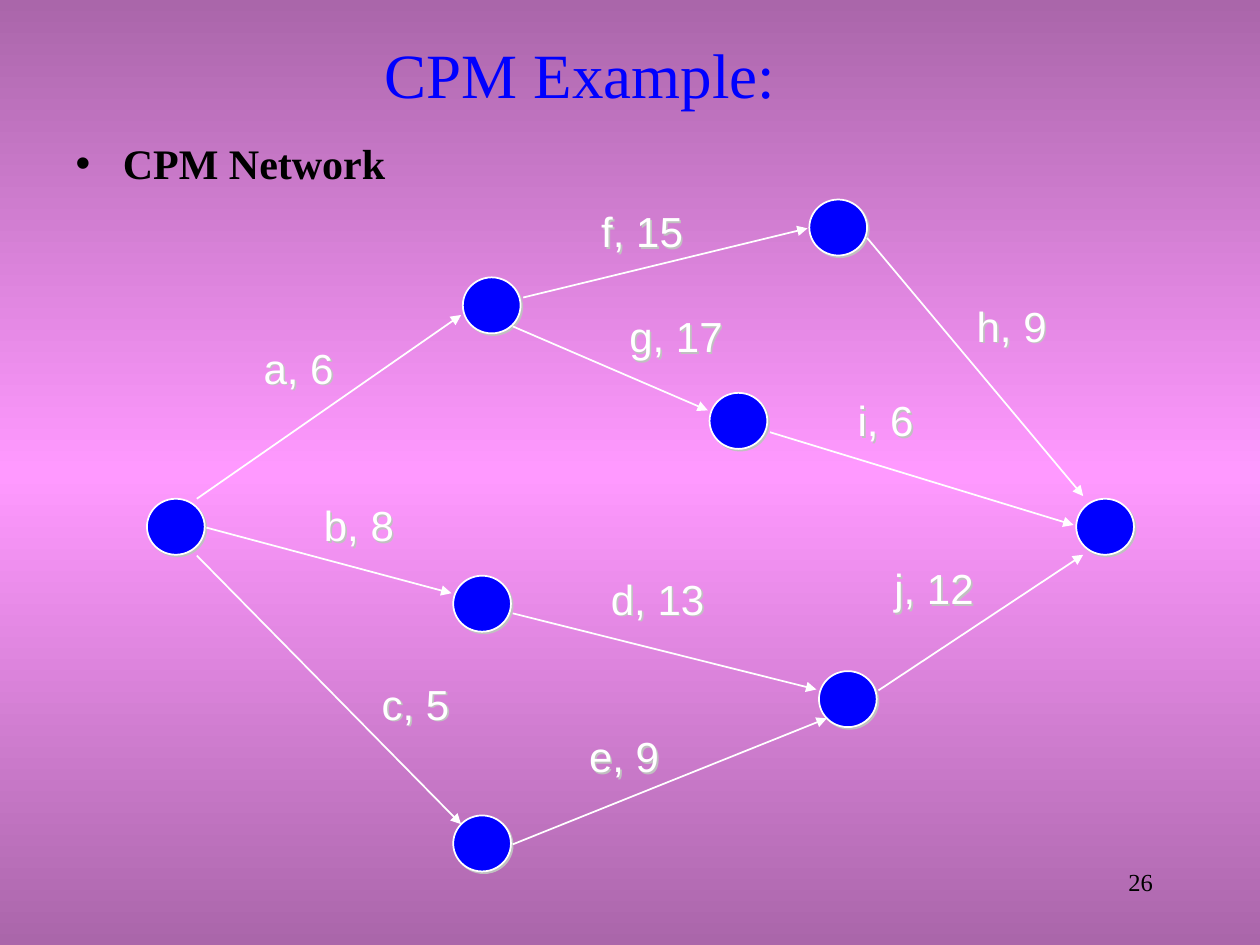
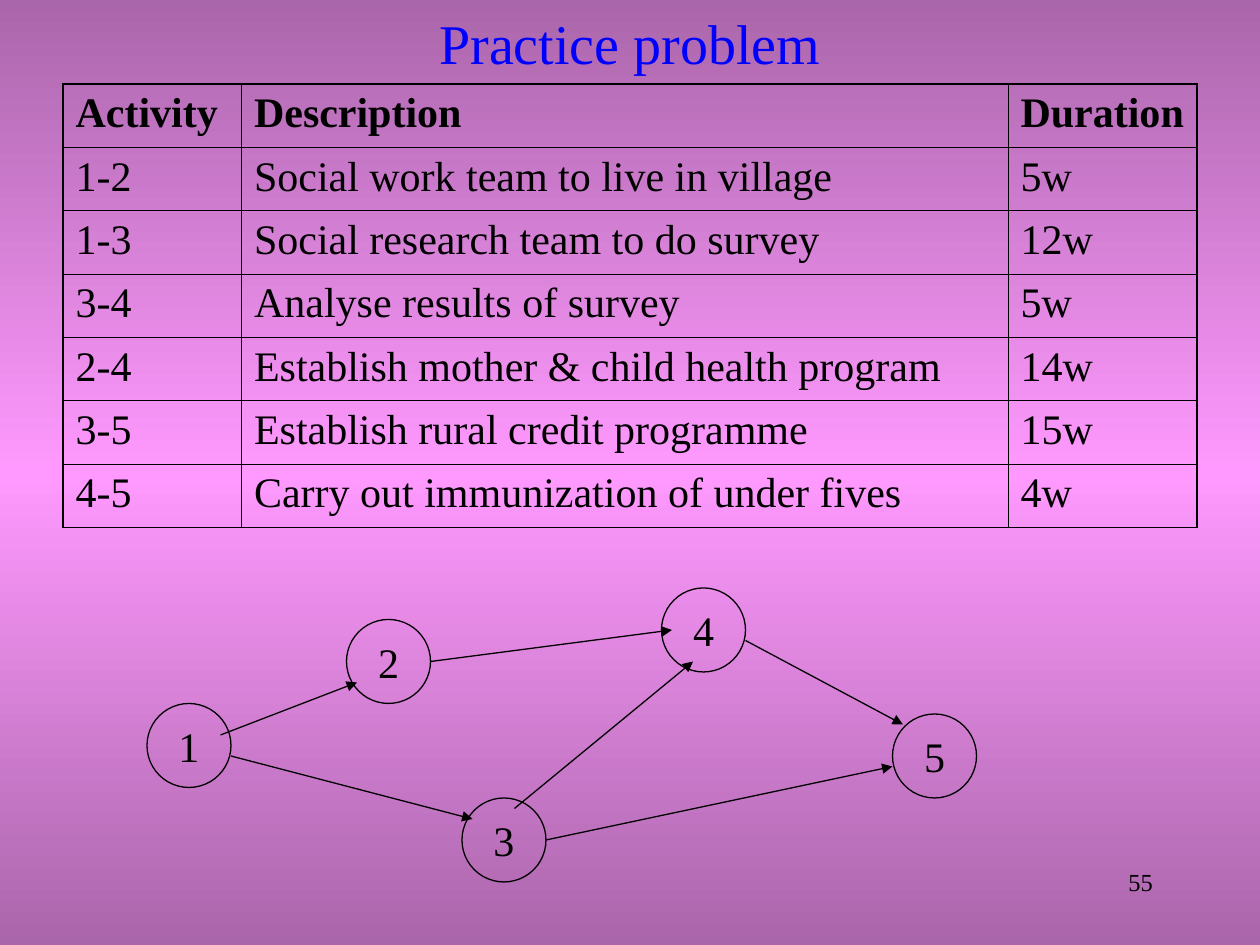
from copy import deepcopy
from typing import NamedTuple

from lxml.etree import SubElement
from pptx import Presentation
from pptx.dml.color import RGBColor
from pptx.enum.shapes import MSO_CONNECTOR as Conn, MSO_SHAPE as Kind
from pptx.enum.text import MSO_ANCHOR as Anchor, MSO_AUTO_SIZE as Fit, PP_ALIGN as Align
from pptx.oxml.ns import qn
from pptx.util import Pt

HUES = {
    "edge": "AA66AA",
    "glow": "FF99FF",
    "title": "0000FF",
    "node": "0000FF",
    "ink": "000000",
    "light": "FFFFFF",
    "shade": "C0C0C0",
}
SERIF, SANS = "Times New Roman", "Arial"
THICK, THIN = 1.08, 0.45


class Box(NamedTuple):
    x: float
    y: float
    w: float
    h: float


class Node(NamedTuple):
    x: float
    y: float
    text: str = ""


class Arrow(NamedTuple):
    x1: float
    y1: float
    x2: float
    y2: float


class Label(NamedTuple):
    text: str
    x: float
    y: float
    w: float


class Look(NamedTuple):
    """How the nodes and arrows of one network are drawn."""
    w: float
    h: float
    fill: str | None
    line: str
    weight: float
    shade: bool


BOLD = Look(33, 32, "node", "light", 1, True)
PLAIN = Look(48, 48, None, "ink", 0.75, False)

CPM_NODES = [
    Node(84, 285), Node(615, 285), Node(264.5, 158.5), Node(405.5, 224.5),
    Node(259, 466), Node(259, 329), Node(468, 383.5), Node(462.5, 114),
]
CPM_ARROWS = [
    Arrow(112.5, 285, 263.5, 180),
    Arrow(118, 301.5, 258, 339),
    Arrow(112.5, 317.5, 263.5, 471),
    Arrow(293, 350.5, 466.5, 394),
    Arrow(293, 482.5, 472.5, 410.5),
    Arrow(299, 170, 461.5, 130.5),
    Arrow(293, 186.5, 404.5, 234.5),
    Arrow(495.5, 136, 619, 283.5),
    Arrow(440, 247, 613.5, 300),
    Arrow(502, 394.5, 619, 317),
]
CPM_LABELS = [
    Label("a, 6", 143.5, 192, 57), Label("b, 8", 178, 282, 57),
    Label("c, 5", 211, 384, 57), Label("d, 13", 342, 324, 70),
    Label("e, 9", 329.5, 414, 57), Label("f, 15", 336.5, 114, 64),
    Label("g, 17", 352.5, 174, 70), Label("h, 9", 551, 168, 57),
    Label("i, 6", 483, 222, 50), Label("j, 12", 504, 318, 64),
]
TASKS = [
    ("Activity", "Description", "Duration"),
    ("1-2", "Social work team to live in village", "5w"),
    ("1-3", "Social research team to do survey", "12w"),
    ("3-4", "Analyse results of survey", "5w"),
    ("2-4", "Establish mother & child health program", "14w"),
    ("3-5", "Establish rural credit programme", "15w"),
    ("4-5", "Carry out immunization of under fives", "4w"),
]
TASK_NODES = [
    Node(84, 402, "1"), Node(198, 354, "2"), Node(264, 456, "3"),
    Node(378, 336, "4"), Node(510, 408, "5"),
]
TASK_ARROWS = [
    Arrow(126, 420, 204, 390),
    Arrow(132, 432, 270, 468),
    Arrow(246, 378, 384, 360),
    Arrow(294, 462, 396, 378),
    Arrow(312, 480, 510, 438),
    Arrow(426, 366, 516, 414),
]


def hue(name: str) -> RGBColor:
    return RGBColor.from_string(HUES[name])


def pts(*vals: float) -> list:
    return [Pt(val) for val in vals]


def put(frame, text: str, *, size=24, color="ink", font=SERIF, bold=False,
        align=Align.LEFT, anchor=None, wrap=True) -> None:
    """Fill a text frame with one formatted paragraph."""
    frame.word_wrap = wrap
    frame.auto_size = Fit.NONE
    if anchor is not None:
        frame.vertical_anchor = anchor
    para = frame.paragraphs[0]
    para.alignment = align
    para.space_before = Pt(0)
    run = para.add_run()
    run.text = text
    run.font.name, run.font.size, run.font.bold = font, Pt(size), bold
    run.font.color.rgb = hue(color)


def place(shape, box: Box) -> None:
    shape.left, shape.top, shape.width, shape.height = pts(*box)


def cast(shape) -> None:
    """Give a shape a small hard shadow to the lower right."""
    shape.shadow.inherit = False
    fx = shape.element.spPr.find(qn("a:effectLst"))
    outer = SubElement(fx, qn("a:outerShdw"), blurRad="0", dist=str(Pt(1.4)),
                       dir="2700000", algn="ctr", rotWithShape="0")
    SubElement(outer, qn("a:srgbClr"), val=HUES["shade"])


def add_node(slide, node: Node, look: Look) -> None:
    oval = slide.shapes.add_shape(Kind.OVAL, *pts(node.x, node.y, look.w, look.h))
    oval.shadow.inherit = False
    if look.fill:
        oval.fill.solid()
        oval.fill.fore_color.rgb = hue(look.fill)
    else:
        oval.fill.background()
    oval.line.color.rgb = hue(look.line)
    oval.line.width = Pt(look.weight)
    if look.shade:
        cast(oval)
    if node.text:
        put(oval.text_frame, node.text, align=Align.CENTER,
            anchor=Anchor.MIDDLE, wrap=False)


def add_arrow(slide, arrow: Arrow, look: Look) -> None:
    link = slide.shapes.add_connector(Conn.STRAIGHT, *pts(*arrow))
    link.line.color.rgb = hue(look.line)
    link.line.width = Pt(look.weight)
    props = link.element.spPr
    SubElement(props.find(qn("a:ln")), qn("a:tailEnd"), type="triangle")
    SubElement(props, qn("a:effectLst"))


def add_net(slide, nodes: list[Node], arrows: list[Arrow], look: Look) -> None:
    for node in nodes:
        add_node(slide, node, look)
    for arrow in arrows:
        add_arrow(slide, arrow, look)


def add_label(slide, label: Label) -> None:
    box = slide.shapes.add_textbox(*pts(label.x, label.y, label.w, 36))
    put(box.text_frame, label.text, color="light", font=SANS)
    box.text_frame.margin_right = 0
    cast(box)


def add_list(slide, text: str, box: Box) -> None:
    body = slide.placeholders[1]
    place(body, box)
    para = body.text_frame.paragraphs[0]
    props = para._p.get_or_add_pPr()
    props.set("marL", str(Pt(27)))
    props.set("indent", str(-Pt(27)))
    tint = SubElement(props, qn("a:buClr"))
    SubElement(tint, qn("a:srgbClr"), val=HUES["ink"])
    SubElement(props, qn("a:buChar"), char="•")
    para.line_spacing = 0.9
    put(body.text_frame, text, bold=True)


def edge_cell(cell, sides: dict[str, float]) -> None:
    """Draw the cell's borders, given as side letter to line width."""
    props = cell._tc.get_or_add_tcPr()
    for side, width in sides.items():
        line = SubElement(props, qn(f"a:ln{side}"), w=str(Pt(width)))
        fill = SubElement(line, qn("a:solidFill"))
        SubElement(fill, qn("a:srgbClr"), val=HUES["ink"])


def add_grid(slide, rows: list[tuple], x: float, y: float,
             widths: list[float], high: float) -> None:
    last, end = len(rows) - 1, len(widths) - 1
    size = pts(x, y, sum(widths), high * len(rows))
    grid = slide.shapes.add_table(len(rows), len(widths), *size).table
    grid.first_row = grid.horz_banding = False
    for col, width in zip(grid.columns, widths):
        col.width = Pt(width)
    for r, row in enumerate(rows):
        grid.rows[r].height = Pt(high)
        for c, text in enumerate(row):
            cell = grid.cell(r, c)
            outer = {"L": c == 0, "R": c == end, "T": r == 0, "B": r == last}
            edge_cell(cell, {s: THICK if out else THIN for s, out in outer.items()})
            cell.fill.background()
            put(cell.text_frame, text, bold=r == 0)


def paint_back(deck) -> None:
    """Give the master the gradient that all slides share."""
    master = deck.slide_master
    fill = master.background.fill
    fill.gradient()
    fill.gradient_angle = 90
    stops = master.element.cSld.find(".//" + qn("a:gsLst"))
    stops.append(deepcopy(stops[-1]))
    for stop, pos, name in zip(stops, (0, 50, 100), ("edge", "glow", "edge")):
        stop.set("pos", str(pos * 1000))
        for old in list(stop):
            stop.remove(old)
        SubElement(stop, qn("a:srgbClr"), val=HUES[name])


def add_slide(deck, layout: int, title: str, box: Box, size: float, page: int):
    slide = deck.slides.add_slide(deck.slide_layouts[layout])
    head = slide.shapes.title
    place(head, box)
    put(head.text_frame, title, size=size, color="title",
        align=Align.CENTER, anchor=Anchor.MIDDLE)
    foot = slide.shapes.add_textbox(*pts(516, 492, 150, 36))
    put(foot.text_frame, str(page), size=14, align=Align.RIGHT)
    return slide


def main() -> None:
    deck = Presentation()
    deck.slide_width, deck.slide_height = pts(720, 540)
    paint_back(deck)

    cpm = add_slide(deck, 1, "CPM Example: ", Box(30, 12, 612, 60), 36, 26)
    add_list(cpm, "CPM Network", Box(36, 78, 612, 34.5))
    add_net(cpm, CPM_NODES, CPM_ARROWS, BOLD)
    for label in CPM_LABELS:
        add_label(cpm, label)

    task = add_slide(deck, 5, "Practice problem", Box(54, 12, 612, 24), 32, 55)
    add_grid(task, TASKS, 36, 48, [102, 438, 108], 36.2)
    add_net(task, TASK_NODES, TASK_ARROWS, PLAIN)

    deck.save("out.pptx")


if __name__ == "__main__":
    main()
